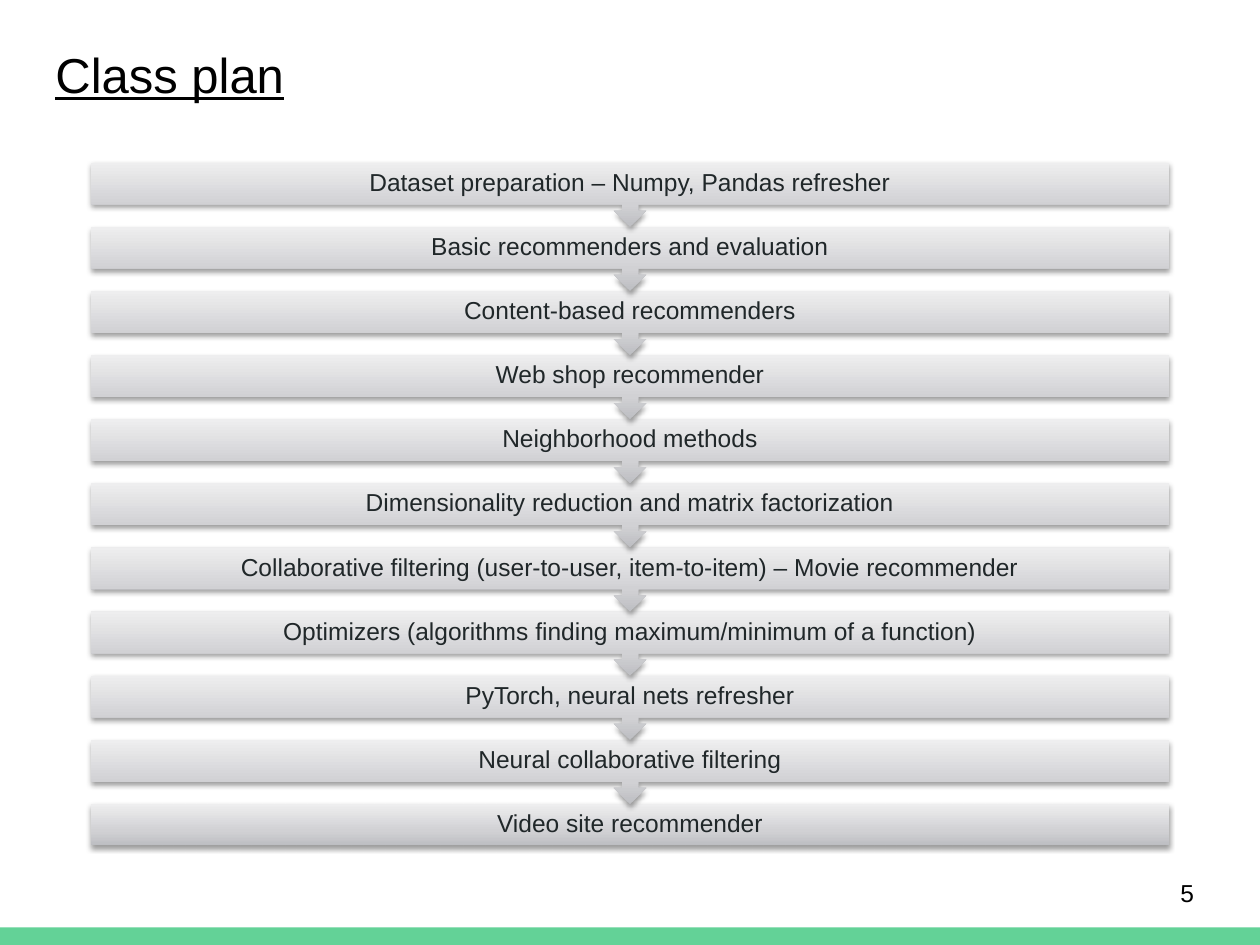
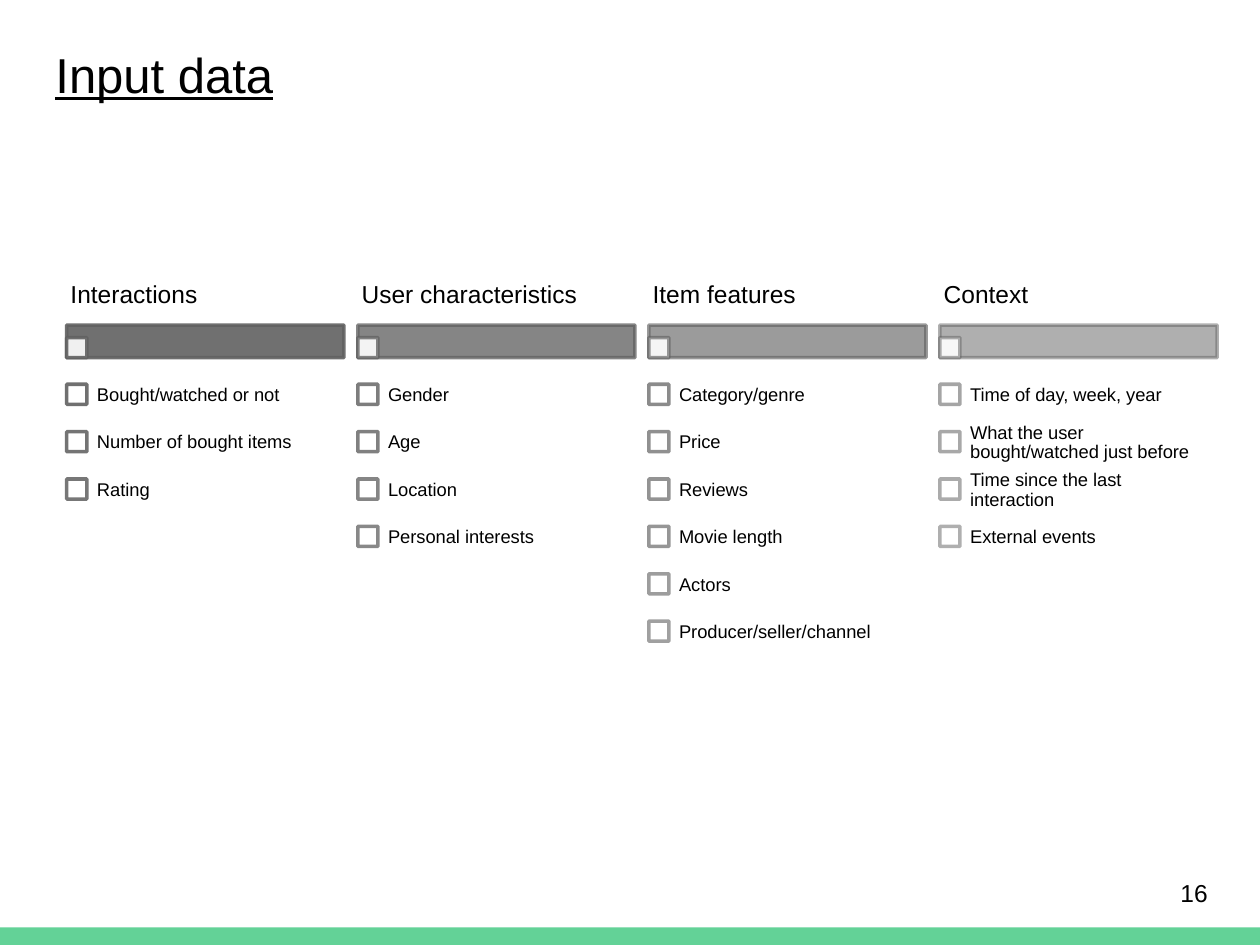
from dataclasses import dataclass
from itertools import count

from lxml import etree
from pptx import Presentation
from pptx.dml.color import RGBColor
from pptx.enum.shapes import MSO_SHAPE
from pptx.enum.text import MSO_ANCHOR, PP_ALIGN
from pptx.oxml import parse_xml
from pptx.oxml.ns import nsdecls, qn
from pptx.util import Inches, Length, Pt

RECTANGLE = MSO_SHAPE.RECTANGLE
ARROW_CALLOUT = MSO_SHAPE.UP_ARROW_CALLOUT
TOP = MSO_ANCHOR.TOP
MIDDLE = MSO_ANCHOR.MIDDLE
LEFT = PP_ALIGN.LEFT
CENTER = PP_ALIGN.CENTER
TITLE_ONLY = 5


@dataclass(frozen=True)
class Theme:
    font: str = "Arial"
    ink: str = "000000"
    step_ink: str = "202729"
    band: str = "63D297"
    accent: str = "616161"
    paper: str = "FFFFFF"
    step_gradient: tuple[tuple[int, str], ...] = (
        (0, "BDBEC2"), (35, "D1D1D4"), (100, "EEEEEF"))
    title_size: float = 28
    body_size: float = 14
    item_size: float = 10.5
    outline: float = 2
    line_spacing: float = 0.9
    strongest: float = 90
    faintest: float = 50
    box_opacity: float = 90


@dataclass(frozen=True)
class Box:
    left: Length
    top: Length
    width: Length
    height: Length


@dataclass(frozen=True)
class Label:
    text: str
    size: float
    color: str
    inset: Length
    align: PP_ALIGN = LEFT
    spacing: float = 1.0


@dataclass(frozen=True)
class Category:
    heading: str
    items: tuple[str, ...]


THEME = Theme()

STEPS = (
    "Dataset preparation – Numpy, Pandas refresher",
    "Basic recommenders and evaluation",
    "Content-based recommenders",
    "Web shop recommender",
    "Neighborhood methods",
    "Dimensionality reduction and matrix factorization",
    "Collaborative filtering (user-to-user, item-to-item) – Movie recommender",
    "Optimizers (algorithms finding maximum/minimum of a function)",
    "PyTorch, neural nets refresher",
    "Neural collaborative filtering",
    "Video site recommender",
)

CATEGORIES = (
    Category("Interactions", (
        "Bought/watched or not", "Number of bought items", "Rating")),
    Category("User characteristics", (
        "Gender", "Age", "Location", "Personal interests")),
    Category("Item features", (
        "Category/genre", "Price", "Reviews", "Movie length", "Actors",
        "Producer/seller/channel")),
    Category("Context", (
        "Time of day, week, year", "What the user bought/watched just before",
        "Time since the last interaction", "External events")),
)


def write(holder, label: Label) -> None:
    frame = holder.text_frame
    frame.word_wrap = True
    frame.vertical_anchor = MIDDLE
    frame.margin_left = frame.margin_right = label.inset
    frame.margin_top = frame.margin_bottom = 0
    frame.text = label.text
    paragraph = frame.paragraphs[0]
    paragraph.alignment = label.align
    paragraph.line_spacing = label.spacing
    paragraph.font.name = THEME.font
    paragraph.font.size = Pt(label.size)
    paragraph.font.color.rgb = RGBColor.from_string(label.color)


def add_label(slide, box: Box, label: Label) -> None:
    write(slide.shapes.add_textbox(box.left, box.top, box.width, box.height), label)


def add_plain(slide, kind: MSO_SHAPE, box: Box):
    shape = slide.shapes.add_shape(kind, box.left, box.top, box.width, box.height)
    shape.shadow.inherit = False
    shape.line.fill.background()
    return shape


def set_opacity(fill_parent, percent: float) -> None:
    color = fill_parent.find(f"{qn('a:solidFill')}/{qn('a:srgbClr')}")
    etree.SubElement(color, qn("a:alpha")).set("val", str(round(percent * 1000)))


def add_outlined(slide, box: Box, fill: str, fill_opacity: float,
                 line_opacity: float) -> None:
    shape = add_plain(slide, RECTANGLE, box)
    shape.fill.solid()
    shape.fill.fore_color.rgb = RGBColor.from_string(fill)
    shape.line.color.rgb = RGBColor.from_string(THEME.accent)
    shape.line.width = Pt(THEME.outline)
    properties = shape.element.spPr
    set_opacity(properties, fill_opacity)
    set_opacity(properties.find(qn("a:ln")), line_opacity)


def add_step_shape(slide, kind: MSO_SHAPE, box: Box):
    shape = add_plain(slide, kind, box)
    stops = "".join(
        f'<a:gs pos="{position * 1000}"><a:srgbClr val="{color}"/></a:gs>'
        for position, color in THEME.step_gradient)
    properties = shape.element.spPr
    properties.find(qn("a:prstGeom")).addnext(parse_xml(
        f'<a:gradFill {nsdecls("a")} rotWithShape="0"><a:gsLst>{stops}</a:gsLst>'
        '<a:lin ang="16200000" scaled="0"/></a:gradFill>'))
    properties.find(qn("a:effectLst")).append(parse_xml(
        f'<a:outerShdw {nsdecls("a")} blurRad="{Pt(3.1)}" dist="{Pt(1.6)}" '
        'dir="5400000" rotWithShape="0"><a:srgbClr val="000000">'
        '<a:alpha val="38000"/></a:srgbClr></a:outerShdw>'))
    return shape


def add_band_to_layout(slide) -> None:
    band = add_plain(slide, RECTANGLE,
                     Box(Inches(0), Inches(7.36), Inches(10), Inches(0.14)))
    band.fill.solid()
    band.fill.fore_color.rgb = RGBColor.from_string(THEME.band)
    slide.slide_layout.shapes.element.append(band.element)


def start_slide(deck, heading: str, page: int):
    slide = deck.slides.add_slide(deck.slide_layouts[TITLE_ONLY])
    title = slide.shapes.title
    title.left, title.top = Inches(0.34), Inches(0.25)
    title.width, title.height = Inches(9.32), Inches(0.77)
    write(title, Label(heading, THEME.title_size, THEME.ink, Inches(0.1)))
    frame = title.text_frame
    frame.vertical_anchor = TOP
    frame.margin_top = frame.margin_bottom = Inches(0.1)
    frame.paragraphs[0].font.underline = True
    add_label(slide, Box(Inches(9.27), Inches(6.8), Inches(0.6), Inches(0.57)),
              Label(str(page), THEME.body_size, THEME.ink, Inches(0.1)))
    return slide


def draw_class_plan(slide) -> None:
    left, width = Inches(0.72), Inches(8.56)
    first_top, bar_height = Inches(1.29), Inches(0.33)
    last = len(STEPS) - 1
    pitch = Inches(5.09) // last
    for index in range(last, -1, -1):
        top = first_top + index * pitch
        bar = Box(left, top, width, bar_height)
        if index == last:
            add_step_shape(slide, RECTANGLE, bar)
        else:
            callout = add_step_shape(slide, ARROW_CALLOUT,
                                     Box(left, top, width, Inches(0.51)))
            callout.rotation = 180
        add_label(slide, bar, Label(STEPS[index], THEME.body_size, THEME.step_ink,
                                    Inches(0.11), CENTER, THEME.line_spacing))


def draw_input_data(slide) -> None:
    column_width, column_pitch = Inches(2.2), Inches(2.31)
    check, row_height = Inches(0.16), Inches(0.38)
    row_pitch = Inches(1.88) // 5
    fade = THEME.strongest - THEME.faintest
    item_total = sum(len(category.items) for category in CATEGORIES)
    item_numbers = count()
    for column, category in enumerate(CATEGORIES):
        left = Inches(0.53) + column * column_pitch
        opacity = THEME.strongest - fade * column / (len(CATEGORIES) - 1)
        add_outlined(slide, Box(left, Inches(2.58), column_width, Inches(0.26)),
                     THEME.accent, opacity, opacity)
        add_outlined(slide, Box(left, Inches(2.68), check, check),
                     THEME.paper, THEME.box_opacity, opacity)
        add_label(slide, Box(left, Inches(2.12), column_width, Inches(0.46)),
                  Label(category.heading, THEME.body_size, THEME.ink, Inches(0.03),
                        spacing=THEME.line_spacing))
        for row, item in enumerate(category.items):
            row_top = Inches(2.95) + row * row_pitch
            item_opacity = THEME.strongest - fade * next(item_numbers) / (item_total - 1)
            add_outlined(slide, Box(left, row_top + Inches(0.1), check, check),
                         THEME.paper, 100, item_opacity)
            add_label(slide, Box(left + check, row_top, column_width - check, row_height),
                      Label(item, THEME.item_size, THEME.ink, Inches(0.08),
                            spacing=THEME.line_spacing))


def main() -> None:
    deck = Presentation()
    deck.slide_width, deck.slide_height = Inches(10), Inches(7.5)
    class_plan = start_slide(deck, "Class plan", 5)
    add_band_to_layout(class_plan)
    draw_class_plan(class_plan)
    draw_input_data(start_slide(deck, "Input data", 16))
    deck.save("out.pptx")


if __name__ == "__main__":
    main()
